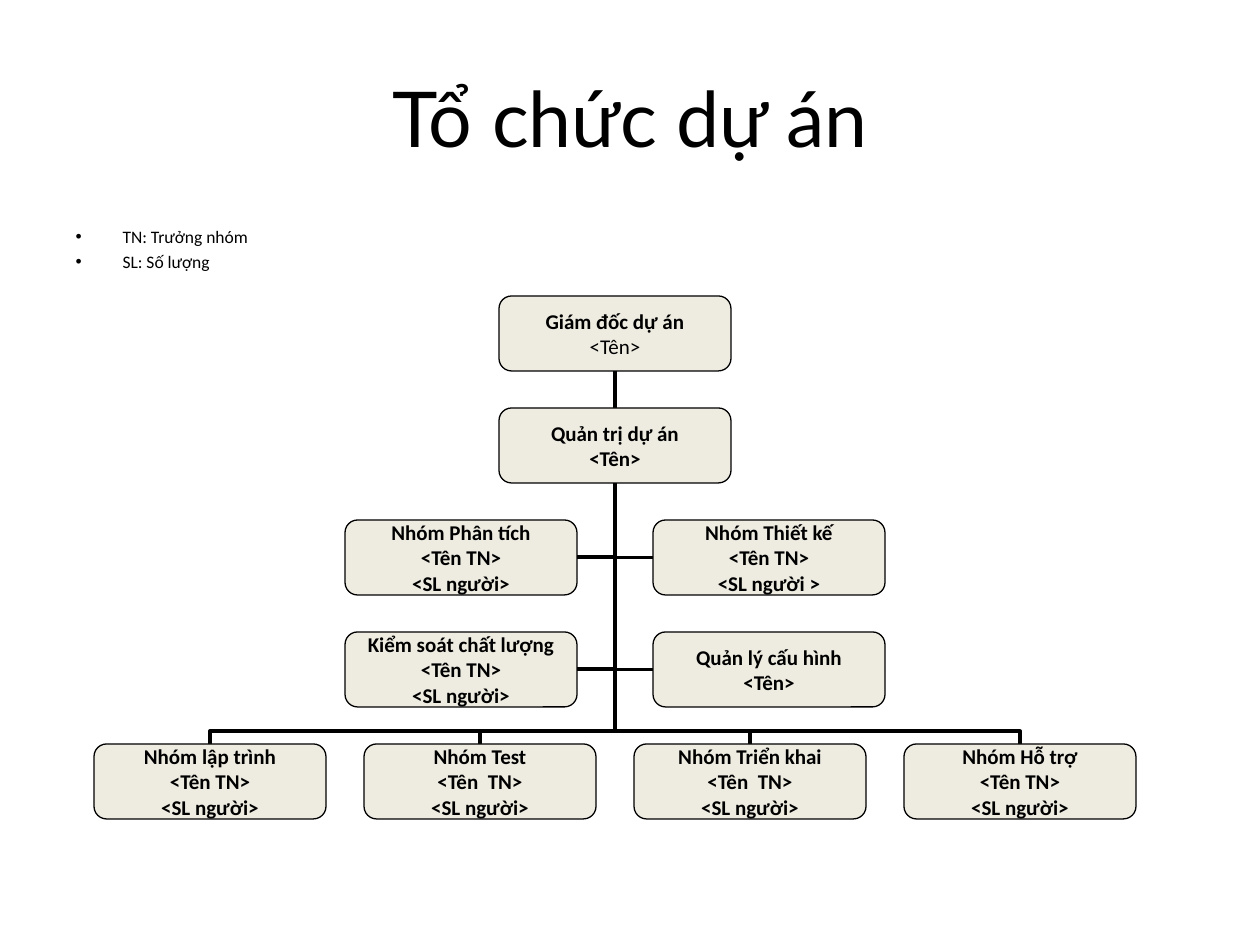
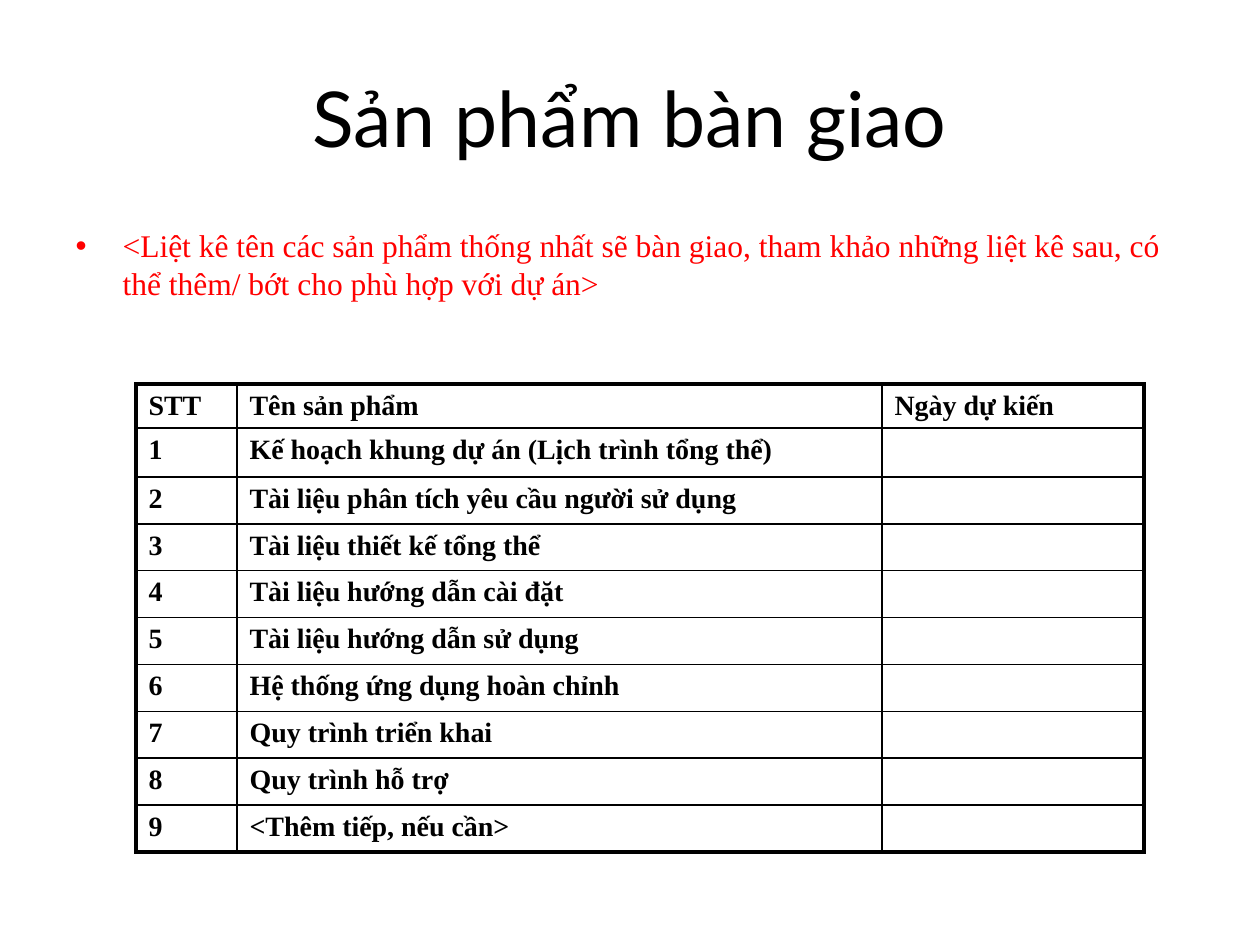
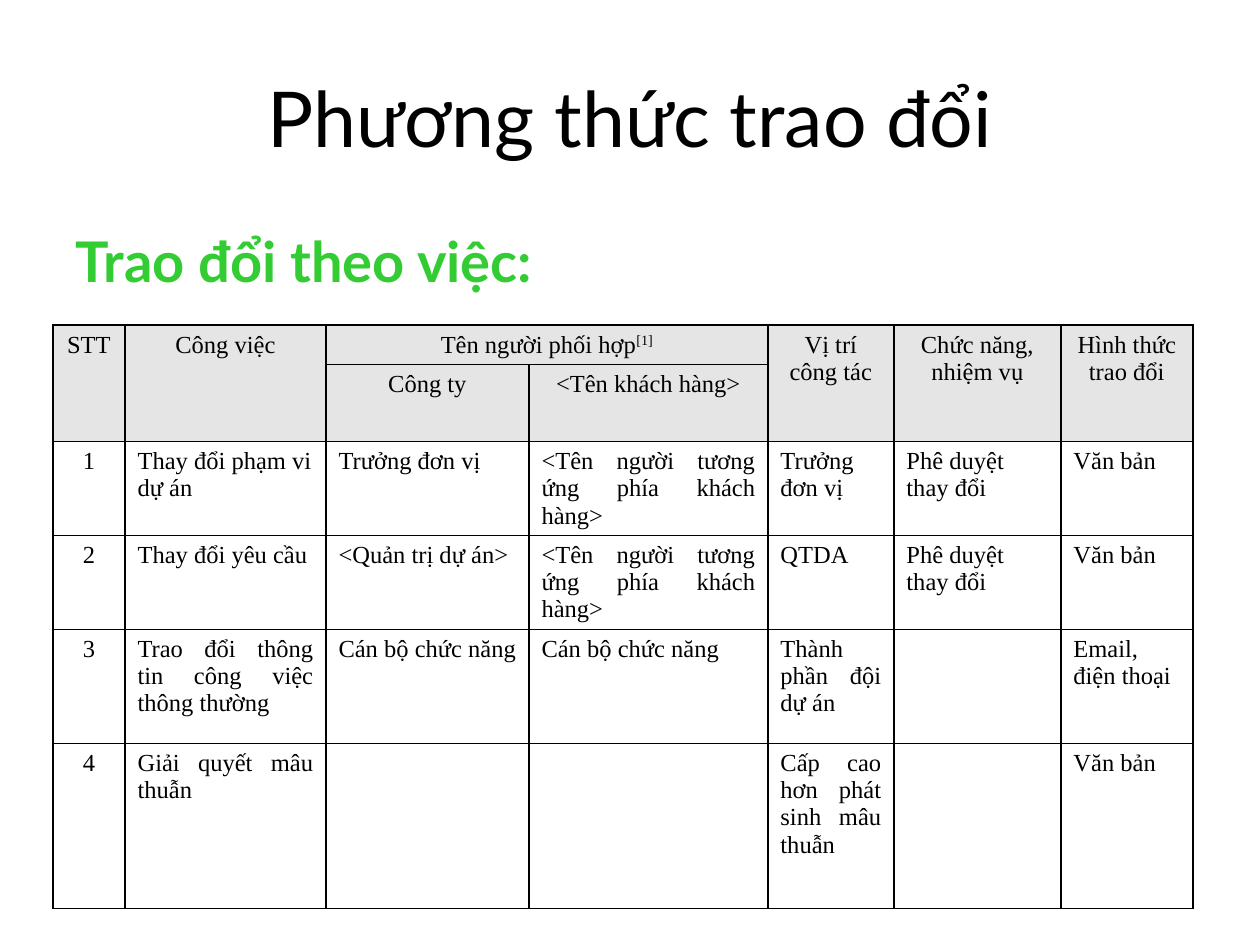
from lxml import etree
from pptx import Presentation
from pptx import util as u
from pptx.dml.color import RGBColor
from pptx.enum import shapes, text
from pptx.oxml.ns import qn

PX = 914400 / 126  # EMU in one px
BLACK, RED, GREEN = "000000", "FF0000", "33CC33"
BEIGE, GREY = "EEECE1", "E5E5E5"
SANS, HEAD, SERIF = "Calibri", "Lato", "Times New Roman"
CENTER, LEFT, JUSTIFY = (text.PP_ALIGN.CENTER, text.PP_ALIGN.LEFT,
                         text.PP_ALIGN.JUSTIFY)


def px(n):
    return u.Emu(round(n * PX))


def rgb(color):
    return RGBColor.from_string(color)


def place(sp, left, top, width, height):
    sp.left, sp.top, sp.width, sp.height = map(px, (left, top, width, height))


class Deck:
    """Holds the shared style and the current slide."""

    def __init__(self):
        self.prs = Presentation()
        self.prs.slide_width, self.prs.slide_height = px(1260), px(945)
        self.s = None

    def slide(self, title):
        self.s = self.prs.slides.add_slide(self.prs.slide_layouts[1])
        sp = self.s.shapes.title
        place(sp, 63, 38, 1134, 157)
        tf = sp.text_frame
        tf.vertical_anchor = text.MSO_ANCHOR.MIDDLE
        p = tf.paragraphs[0]
        p.alignment = CENTER
        self.run(p, title, 44, HEAD)

    def run(self, p, words, size, font, color=BLACK, bold=False):
        r = p.add_run()
        r.text = words
        f = r.font
        f.size, f.name, f.bold = u.Pt(size), font, bold
        f.color.rgb = rgb(color)
        return r

    def body(self, lines, height, size, font, color=BLACK, bold=False, bullet=True):
        sp = self.s.placeholders[1]
        place(sp, 63, 220, 1134, height)
        tf = sp.text_frame
        for i, line in enumerate(lines):
            p = tf.add_paragraph() if i else tf.paragraphs[0]
            pPr = p._p.get_or_add_pPr()
            indent = 47 if bullet else 0
            pPr.set("marL", str(px(indent)))
            pPr.set("indent", str(px(-indent)))
            if not bullet:
                etree.SubElement(pPr, qn("a:buNone"))
            self.run(p, line, size, font, color, bold)

    def box(self, left, top, width, height, lines, bold_rest=True):
        sp = self.s.shapes.add_shape(shapes.MSO_SHAPE.ROUNDED_RECTANGLE,
                                     *map(px, (left, top, width, height)))
        sp.shadow.inherit = False
        sp.fill.solid()
        sp.fill.fore_color.rgb = rgb(BEIGE)
        sp.line.color.rgb = rgb(BLACK)
        sp.line.width = u.Pt(0.75)
        tf = sp.text_frame
        tf.word_wrap = False
        tf.vertical_anchor = text.MSO_ANCHOR.MIDDLE
        tf.margin_left = tf.margin_top = tf.margin_right = tf.margin_bottom = 0
        for i, line in enumerate(lines):
            p = tf.add_paragraph() if i else tf.paragraphs[0]
            p.alignment = CENTER
            self.run(p, line, 12, SANS, bold=bold_rest or i == 0)
        return sp

    def link(self, start, site, end, behind, kind=shapes.MSO_CONNECTOR.STRAIGHT):
        """Join a side of start to the bottom of end, behind the boxes."""
        c = self.s.shapes.add_connector(kind, 0, 0, 0, 0)
        c.begin_connect(start, site)
        c.end_connect(end, 2)
        c.line.color.rgb = rgb(BLACK)
        c.line.width = u.Pt(2.25)
        etree.SubElement(c.element.spPr, qn("a:effectLst"))
        behind.element.addprevious(c.element)
        return c

    def elbow(self, start, site, end, behind):
        """Bend from the top (0) or a side (1, 3) of start up to end."""
        c = self.link(start, site, end, behind, shapes.MSO_CONNECTOR.ELBOW)
        on_right = c.begin_x > c.end_x
        xfrm = c.element.spPr.find(qn("a:xfrm"))
        for name in ("flipH", "flipV"):
            xfrm.attrib.pop(name, None)
        geom = c.element.spPr.find(qn("a:prstGeom"))
        if site == 0:
            mid_x, mid_y = c.left + c.width // 2, c.top + c.height // 2
            c.width, c.height = c.height, c.width
            c.left, c.top = mid_x - c.width // 2, mid_y - c.height // 2
            xfrm.set("rot", str((90 if on_right else 270) * 60000))
            if on_right:
                xfrm.set("flipH", "1")
            etree.SubElement(geom.find(qn("a:avLst")), qn("a:gd"),
                             name="adj1", fmla="val 4900")
        else:
            geom.set("prst", "bentConnector2")
            if on_right:
                xfrm.set("rot", str(180 * 60000))
            else:
                xfrm.set("flipV", "1")

    def table(self, left, top, cols, heights):
        t = self.s.shapes.add_table(len(heights), len(cols), px(left), px(top),
                                    px(sum(cols)), px(sum(heights))).table
        t.first_row = t.horz_banding = False
        for col, w in zip(t.columns, cols):
            col.width = px(w)
        for row, h in zip(t.rows, heights):
            row.height = px(h)
        return t

    def cell(self, cell, words, size, bold=False, align=LEFT, fill=None, thick=""):
        """Fill a cell; sides named in thick (L, R, T, B) get a heavy line."""
        tcPr = cell._tc.get_or_add_tcPr()
        for side in "LRTB":
            ln = etree.SubElement(tcPr, qn("a:ln" + side),
                                  w=str(u.Pt(2.25 if side in thick else 1)))
            solid = etree.SubElement(ln, qn("a:solidFill"))
            etree.SubElement(solid, qn("a:srgbClr"), val=BLACK)
        if fill:
            cell.fill.solid()
            cell.fill.fore_color.rgb = rgb(fill)
        else:
            cell.fill.background()
        p = cell.text_frame.paragraphs[0]
        p.alignment = align
        if words:
            self.run(p, words, size, SERIF, bold=bold)
        else:
            etree.SubElement(p._p, qn("a:endParaRPr"), sz=str(size * 100))
        return p


def organisation(d):
    d.slide("Tổ chức dự án")
    d.body(["TN: Trưởng nhóm", "SL: Số lượng"], 624, 10, SANS)

    # Boxes: five levels at equal steps
    w, h, top, step = 232, 75, 296, 112
    levels = [top + step * i for i in range(5)]
    leader, count = "<Tên TN>", "<SL người>"
    director = d.box(499, levels[0], w, h, ["Giám đốc dự án", "<Tên>"], False)
    manager = d.box(499, levels[1], w, h, ["Quản trị dự án", "<Tên>"])
    sides = [
        (["Nhóm Phân tích", leader, count],
         ["Nhóm Thiết kế", leader, "<SL người >"]),
        (["Kiểm soát chất lượng", leader, count],
         ["Quản lý cấu hình", "<Tên>"]),
    ]
    pairs = [(d.box(345, y, w, h, a), d.box(653, y, w, h, b))
             for y, (a, b) in zip(levels[2:], sides)]
    teams = [("Nhóm lập trình", leader), ("Nhóm Test", "<Tên  TN>"),
             ("Nhóm Triển khai", "<Tên  TN>"), ("Nhóm Hỗ trợ", leader)]
    bottom = [d.box(94 + 270 * i, levels[4], w, h, [*team, count])
              for i, team in enumerate(teams)]

    # Connectors
    for team in reversed(bottom):
        d.elbow(team, 0, manager, director)
    for a, b in reversed(pairs):
        d.elbow(b, 1, manager, director)
        d.elbow(a, 3, manager, director)
    d.link(manager, 0, director, director)


def deliverables(d):
    d.slide("Sản phẩm bàn giao")
    d.body(["<Liệt kê tên các sản phẩm thống nhất sẽ bàn giao, tham khảo những "
            "liệt kê sau, có thể thêm/ bớt cho phù hợp với dự án>"],
           228, 18, SERIF, RED)
    products = [
        "Kế hoạch khung dự án (Lịch trình tổng thể)",
        "Tài liệu phân tích yêu cầu người sử dụng",
        "Tài liệu thiết kế tổng thể",
        "Tài liệu hướng dẫn cài đặt",
        "Tài liệu hướng dẫn sử dụng",
        "Hệ thống ứng dụng hoàn chỉnh",
        "Quy trình triển khai",
        "Quy trình hỗ trợ",
        "<Thêm tiếp, nếu cần>",
    ]
    rows = [("STT", "Tên sản phẩm", "Ngày dự kiến")]
    rows += [(str(n), name, "") for n, name in enumerate(products, 1)]
    t = d.table(136, 384, [101, 645, 262], [44, 49] + [44] * 8)
    for i, row in enumerate(rows):
        for j, words in enumerate(row):
            thick = ("L", "", "R")[j]
            thick += "T" if i == 0 else "B" if i == len(rows) - 1 else ""
            d.cell(t.cell(i, j), words, 16, True, thick=thick)


def communication(d):
    d.slide("Phương thức trao đổi")
    d.body(["Trao đổi theo việc:"], 624, 32, HEAD, GREEN, True, bullet=False)
    partner = "<Tên người tương ứng phía khách hàng>"
    approve, written, staff = "Phê duyệt thay đổi", "Văn bản", "Cán bộ chức năng"
    rows = [
        ("STT", "Công việc", "Tên người phối hợp", "", "Vị trí công tác",
         "Chức năng, nhiệm vụ", "Hình thức trao đổi"),
        ("", "", "Công ty", "<Tên khách hàng>", "", "", ""),
        ("1", "Thay đổi phạm vi dự án", "Trưởng đơn vị", partner,
         "Trưởng đơn vị", approve, written),
        ("2", "Thay đổi yêu cầu", "<Quản trị dự án>", partner,
         "QTDA", approve, written),
        ("3", "Trao đổi thông tin công việc thông thường", staff, staff,
         "Thành phần đội dự án", "", "Email, điện thoại"),
        ("4", "Giải quyết mâu thuẫn", "", "",
         "Cấp cao hơn phát sinh mâu thuẫn", "", written),
    ]
    t = d.table(53, 325, [72, 201, 203, 239, 126, 167, 132],
                [39, 77, 94, 94, 114, 165])
    for i, row in enumerate(rows):
        for j, words in enumerate(row):
            if i < 2 or j == 0:
                align = CENTER
            else:
                align = LEFT if i < 4 and j in (1, 4, 5) else JUSTIFY
            p = d.cell(t.cell(i, j), words, 14, align=align,
                       fill=GREY if i < 2 else None)
            if (i, j) == (0, 2):
                r = d.run(p, "[1]", 14, SERIF)
                r.font._element.set("baseline", "30000")

    # Header spans
    for j in (0, 1, 4, 5, 6):
        t.cell(0, j).merge(t.cell(1, j))
    t.cell(0, 2).merge(t.cell(0, 3))


def main():
    d = Deck()
    organisation(d)
    deliverables(d)
    communication(d)
    d.prs.save("out.pptx")


if __name__ == "__main__":
    main()
